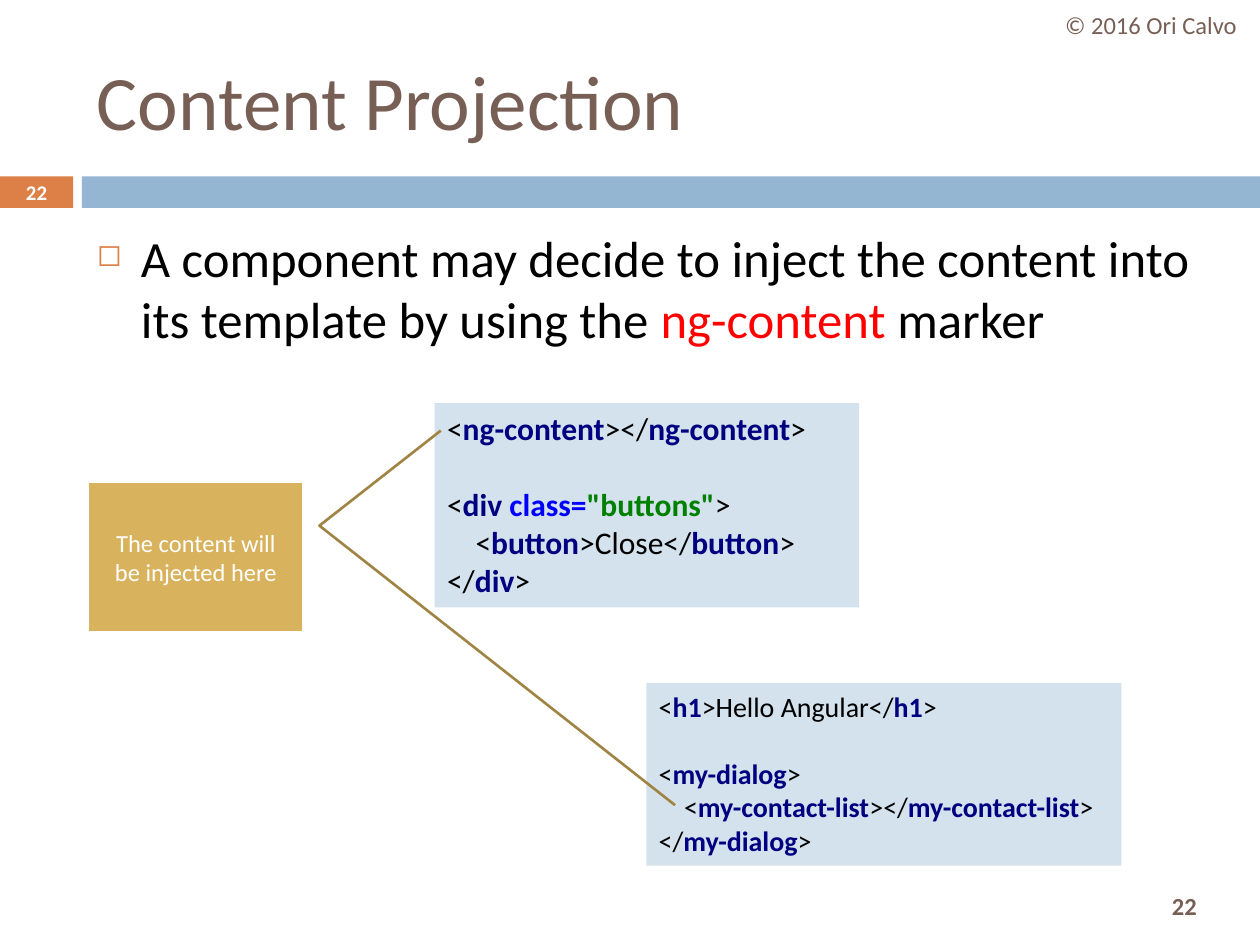
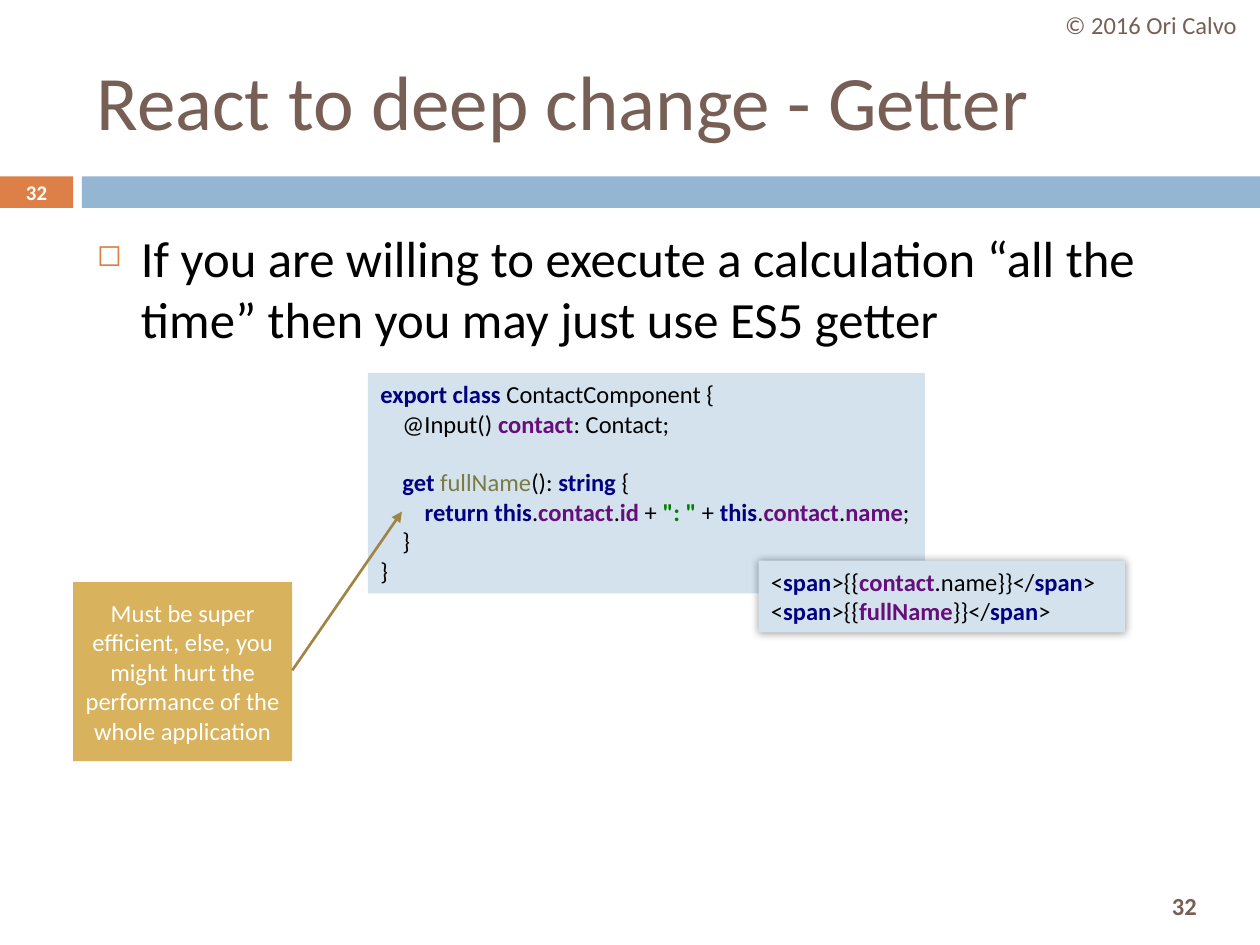
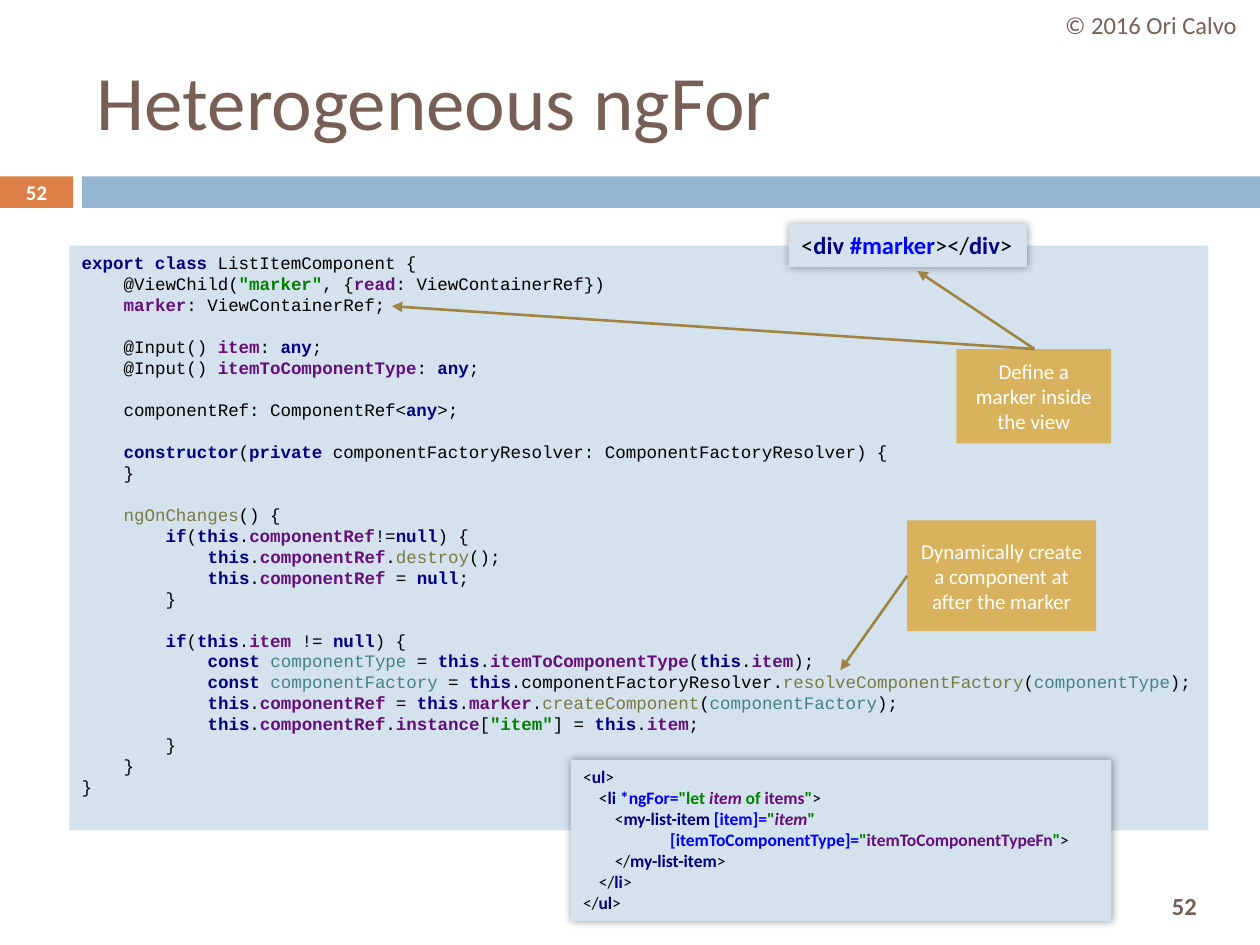
from lxml.etree import SubElement
from pptx import Presentation
from pptx.dml.color import RGBColor
from pptx.enum.shapes import MSO_CONNECTOR, MSO_SHAPE
from pptx.enum.text import MSO_ANCHOR, PP_ALIGN
from pptx.oxml.ns import qn
from pptx.util import Inches, Pt

COLORS = {
    "title": "775F55",
    "badge": "DD8047",
    "band": "94B6D2",
    "code": "D4E2ED",
    "note": "D8B25C",
    "pointer": "A08444",
    "white": "FFFFFF",
    "black": "000000",
    "red": "FF0000",
    "keyword": "000080",
    "attribute": "0000FF",
    "string": "008000",
    "field": "660E7A",
    "method": "7A7A43",
    "local": "458383",
}
TOKENS = {
    "k": ("keyword", True, False),
    "a": ("attribute", True, False),
    "s": ("string", True, False),
    "f": ("field", True, False),
    "i": ("field", True, True),
    "m": ("method", False, False),
    "v": ("local", False, False),
}
SPACE_WIDTH = {"Calibri": 0.226, "Courier New": 0.6}
LINE_HEIGHT = 1.2

DIALOG_TEMPLATE = """\
<§kng-content§></§kng-content§>

<§kdiv §§aclass=§§s"buttons"§>
    <§kbutton§>Close</§kbutton§>
</§kdiv§>"""

DIALOG_USAGE = """\
<§kh1§>Hello Angular</§kh1§>

<§kmy-dialog§>
    <§kmy-contact-list§></§kmy-contact-list§>
</§kmy-dialog§>"""

CONTACT_CLASS = """\
§kexport class §ContactComponent {
    @Input() §fcontact§: Contact;

    §kget §§mfullName§(): §kstring §{
        §kreturn this§.§fcontact§.§fid §+ §s": " §+ §kthis§.§fcontact§.§fname§;
    }
}"""

CONTACT_VIEW = """\
<§kspan§>{{§fcontact§.name}}</§kspan§>
<§kspan§>{{§ffullName§}}</§kspan§>"""

LIST_ITEM_FIELDS = """\
§kexport class §ListItemComponent {
    @ViewChild(§s"marker"§, {§fread§: ViewContainerRef})
    §fmarker§: ViewContainerRef;

    @Input() §fitem§: §kany§;
    @Input() §fitemToComponentType§: §kany§;

    componentRef: ComponentRef<§kany§>;

    §kconstructor§(§kprivate §componentFactoryResolver: ComponentFactoryResolver) {
    }"""

LIST_ITEM_RESET = """\
    §mngOnChanges§() {
        §kif§(§kthis§.§fcomponentRef§!=§knull§) {
            §kthis§.§fcomponentRef§.§mdestroy§();
            §kthis§.§fcomponentRef §= §knull§;
        }"""

LIST_ITEM_CREATE = """\
        §kif§(§kthis§.§fitem §!= §knull§) {
            §kconst §§vcomponentType §= §kthis§.§fitemToComponentType§(§kthis§.§fitem§);
            §kconst §§vcomponentFactory §= §kthis§.componentFactoryResolver.§mresolveComponentFactory§(§vcomponentType§);
            §kthis§.§fcomponentRef §= §kthis§.§fmarker§.§mcreateComponent§(§vcomponentFactory§);
            §kthis§.§fcomponentRef§.§finstance§[§s"item"§] = §kthis§.§fitem§;
        }
    }
}"""

LIST_VIEW = """\
<§kul§>
    <§kli §§a*ngFor=§§s"let §§iitem§§s of §§fitems§§s"§>
        <§kmy-list-item §§a[item]=§§s"§§iitem§§s"§
                      §a[itemToComponentType]=§§s"§§fitemToComponentTypeFn§§s"§>
        </§kmy-list-item§>
    </§kli§>
</§kul§>"""

MARKER_VIEW = "<§kdiv §§a#marker§></§kdiv§>"


def rgb(name):
    """Return the named colour."""
    return RGBColor.from_string(COLORS[name])


def add_span(para, text, size, color, bold=False, italic=False, font="Calibri"):
    """Append one formatted run to a paragraph."""
    span = para.add_run()
    span.text = text
    span.font.name = font
    span.font.size = Pt(size)
    span.font.bold = bold
    span.font.italic = italic
    span.font.color.rgb = rgb(color)


def add_text(page, place, text, size, color, bold=False, align=PP_ALIGN.CENTER):
    """Add a vertically centred text box with one line of text."""
    box = page.shapes.add_textbox(*map(Inches, place))
    box.text_frame.word_wrap = True
    box.text_frame.vertical_anchor = MSO_ANCHOR.MIDDLE
    para = box.text_frame.paragraphs[0]
    para.alignment = align
    add_span(para, text, size, color, bold)


def add_block(shapes, place, fill, kind=MSO_SHAPE.RECTANGLE):
    """Add a flat filled shape without outline."""
    block = shapes.add_shape(kind, *map(Inches, place))
    block.shadow.inherit = False
    block.fill.solid()
    block.fill.fore_color.rgb = rgb(fill)
    block.line.fill.background()
    return block


def add_glow(block):
    """Give a block a soft shadow on all sides."""
    effects = block._element.spPr.find(qn("a:effectLst"))
    shadow = SubElement(effects, qn("a:outerShdw"), blurRad=str(Pt(5)), dist="0", dir="0")
    color = SubElement(shadow, qn("a:srgbClr"), val=COLORS["black"])
    SubElement(color, qn("a:alpha"), val="40000")


def add_code(page, place, source, size, font="Calibri", glow=False, wrap=True):
    """Add a code panel, with indents and gaps taken from the source lines."""
    panel = add_block(page.shapes, place, "code")
    if glow:
        add_glow(panel)
    frame = panel.text_frame
    frame.word_wrap = wrap
    frame.vertical_anchor = MSO_ANCHOR.TOP
    para, blanks = frame.paragraphs[0], 0
    for number, line in enumerate(source.splitlines()):
        code = line.lstrip()
        if not code:
            blanks += 1
            continue
        if number:
            para = frame.add_paragraph()
        para.alignment = PP_ALIGN.LEFT
        para.line_spacing = Pt(LINE_HEIGHT * size)
        para.space_before = Pt(LINE_HEIGHT * size * blanks)
        indent = (len(line) - len(code)) * SPACE_WIDTH[font] * size
        para._p.get_or_add_pPr().set("marL", str(Pt(indent)))
        blanks = 0
        for index, piece in enumerate(code.split("§")):
            if index % 2:
                add_span(para, piece[1:], size, *TOKENS[piece[0]], font)
            elif piece:
                add_span(para, piece, size, "black", font=font)


def add_note(shapes, place, text, size, kind=MSO_SHAPE.RECTANGLE):
    """Add a golden note with centred white text."""
    note = add_block(shapes, place, "note", kind)
    note.text_frame.word_wrap = True
    note.text_frame.vertical_anchor = MSO_ANCHOR.MIDDLE
    para = note.text_frame.paragraphs[0]
    para.alignment = PP_ALIGN.CENTER
    add_span(para, text, size, "white")
    return note


def style_pointer(line):
    """Colour and size the line of a pointer."""
    line.color.rgb = rgb("pointer")
    line.width = Pt(1.5)


def add_arrow(shapes, start, end):
    """Add an arrow from a note to the code it explains."""
    arrow = shapes.add_connector(MSO_CONNECTOR.STRAIGHT, *map(Inches, start + end))
    style_pointer(arrow.line)
    SubElement(arrow.line._get_or_add_ln(), qn("a:tailEnd"), type="triangle")
    SubElement(arrow._element.spPr, qn("a:effectLst"))


def add_bullet(page, spans):
    """Add the body text as one bulleted paragraph."""
    box = page.shapes.add_textbox(Inches(0.67), Inches(1.75), Inches(8.92), Inches(4.92))
    box.text_frame.word_wrap = True
    para = box.text_frame.paragraphs[0]
    para.space_before = Pt(7)
    settings = para._p.get_or_add_pPr()
    settings.set("marL", str(Inches(0.35)))
    settings.set("indent", str(Inches(-0.35)))
    color = SubElement(settings, qn("a:buClr"))
    SubElement(color, qn("a:srgbClr"), val=COLORS["badge"])
    SubElement(settings, qn("a:buSzPct"), val="60000")
    SubElement(settings, qn("a:buChar"), char="◻")
    for text, name in spans:
        add_span(para, text, 29, name)


def add_page(deck, title, number):
    """Add a page with the shared band, title, credit and page numbers."""
    page = deck.slides.add_slide(deck.slide_layouts[6])
    add_block(page.shapes, (0, 1.4, 0.58, 0.25), "badge")
    add_block(page.shapes, (0.65, 1.4, 9.35, 0.25), "band")
    add_text(page, (8.94, 6.98, 0.92, 0.42), number, 14, "title", bold=True)
    add_text(page, (0.67, 0.25, 8.92, 1.08), title, 44, "title", align=PP_ALIGN.LEFT)
    add_text(page, (8.27, 0, 1.73, 0.4), "© 2016 Ori Calvo", 14, "title")
    add_text(page, (0, 1.39, 0.58, 0.27), number, 11.9, "white", bold=True)
    return page


def add_projection_page(deck):
    """Build the page on content projection."""
    page = add_page(deck, "Content Projection", "22")
    add_bullet(page, [
        ("A component may decide to inject the content into its template by using the ", "black"),
        ("ng-content", "red"),
        (" marker", "black"),
    ])
    add_code(page, (3.45, 3.2, 3.37, 1.62), DIALOG_TEMPLATE, 18)
    add_code(page, (5.13, 5.42, 3.77, 1.45), DIALOG_USAGE, 16)
    callout = add_note(page.shapes, (0.71, 3.83, 1.69, 1.18),
                       "The content will be injected here", 14,
                       MSO_SHAPE.LINE_CALLOUT_2_NO_BORDER)
    style_pointer(callout.line)
    for index, value in enumerate((2.17, 2.75, 0.29, 1.08, -0.35, 1.65)):
        callout.adjustments[index] = value


def add_getter_page(deck):
    """Build the page on getters."""
    page = add_page(deck, "React to deep change - Getter", "32")
    add_bullet(page, [(
        "If you are willing to execute a calculation “all the time” "
        "then you may just use ES5 getter", "black")])
    add_code(page, (2.92, 2.96, 4.42, 1.75), CONTACT_CLASS, 14)
    warning = page.shapes.add_group_shape()
    add_note(warning.shapes, (0.58, 4.62, 1.74, 1.42),
             "Must be super efficient, else, you might hurt the performance "
             "of the whole application", 14)
    add_arrow(warning.shapes, (2.32, 5.32), (3.19, 4.06))
    add_code(page, (6.02, 4.45, 2.91, 0.57), CONTACT_VIEW, 14, glow=True)


def add_list_page(deck):
    """Build the page on lists of mixed components."""
    page = add_page(deck, "Heterogeneous ngFor", "52")
    list_item = "\n\n".join((LIST_ITEM_FIELDS, LIST_ITEM_RESET, LIST_ITEM_CREATE))
    add_code(page, (0.55, 1.95, 9.04, 4.64), list_item, 10, font="Courier New")
    add_code(page, (4.53, 6.03, 4.29, 1.28), LIST_VIEW, 10, glow=True)
    add_code(page, (6.26, 1.78, 1.89, 0.34), MARKER_VIEW, 14, glow=True, wrap=False)
    add_note(page.shapes, (7.59, 2.77, 1.23, 0.75), "Define a marker inside the view", 12)
    for target in ((7.28, 2.15), (3.11, 2.43)):
        add_arrow(page.shapes, (8.21, 2.77), target)
    add_note(page.shapes, (7.2, 4.13, 1.5, 0.88),
             "Dynamically create a component at after the marker", 12)
    add_arrow(page.shapes, (7.2, 4.57), (6.67, 5.32))


def main():
    """Build and save the deck."""
    deck = Presentation()
    deck.slide_width = Inches(10)
    deck.slide_height = Inches(7.5)
    add_projection_page(deck)
    add_getter_page(deck)
    add_list_page(deck)
    deck.save("out.pptx")


if __name__ == "__main__":
    main()
